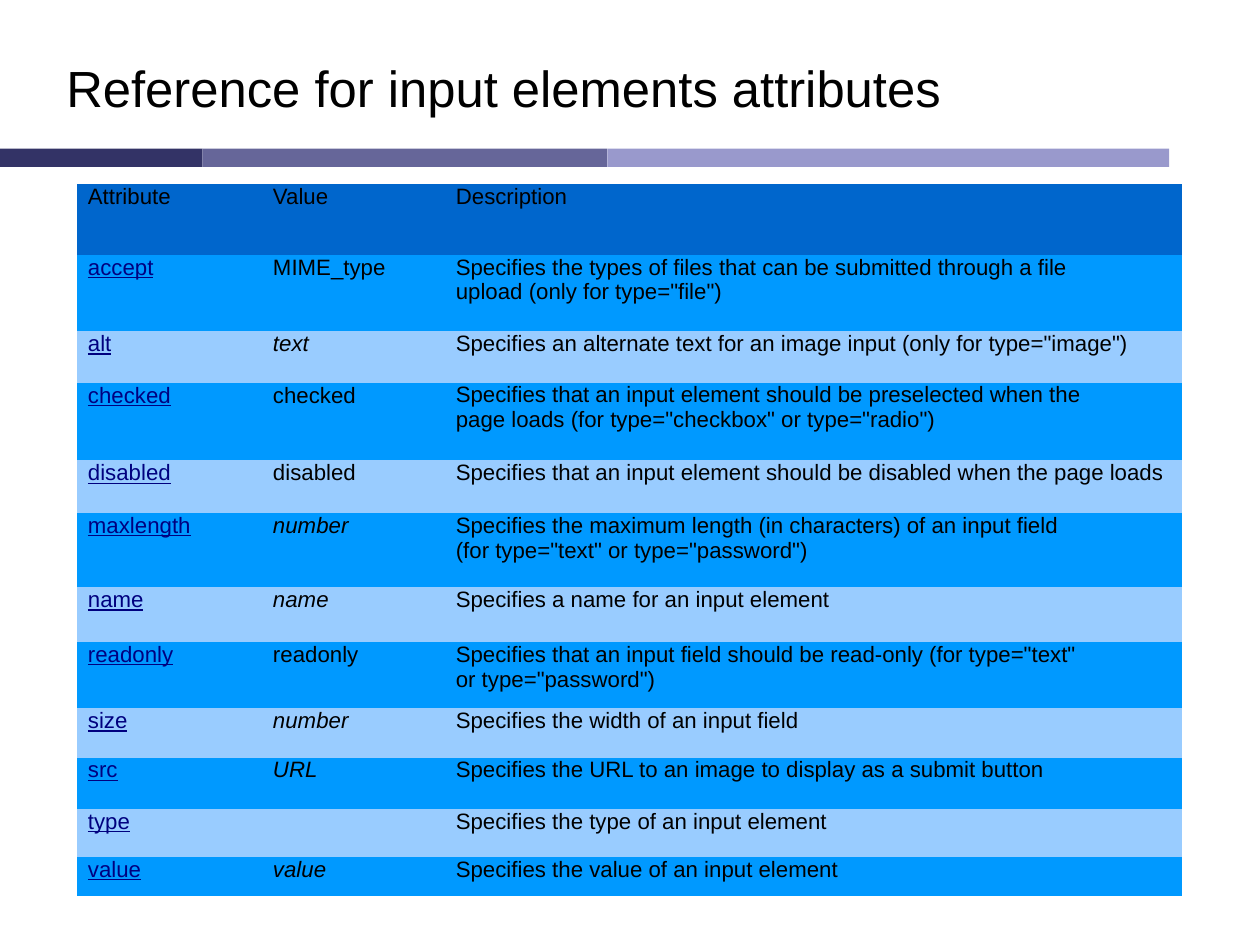
"""Build the slide that lists the attributes of the input element."""
from dataclasses import dataclass

from pptx import Presentation
from pptx import util as u
from pptx.dml import color
from pptx.enum import shapes, text
from pptx.oxml import ns

SLIDE_WIDTH, SLIDE_HEIGHT = u.Inches(11.03), u.Inches(8.26)
COLOURS = {
    "ink": "000000",
    "link": "00007F",
    "header": "0066CC",
    "bright": "0099FF",
    "pale": "99CCFF",
    "navy": "333366",
    "slate": "666699",
    "lavender": "9999CC",
}
PLAIN_TABLE_STYLE = "{2D5ABB26-0587-4C30-8999-92F81FD0307C}"
COLUMN_WIDTHS = (14.69, 14.51, 58.57)
HEADINGS = ("Attribute", "Value", "Description")
HEADER_HEIGHT = 7.51


@dataclass(frozen=True)
class Band:
    """A stretch of the divider, its width in percent of the slide."""
    colour: str
    width: float


@dataclass(frozen=True)
class Attribute:
    """A table row, its height in percent of the slide."""
    name: str
    value: str
    description: str
    height: float
    italic: bool = True
    two_lines: bool = False


BANDS = (Band("navy", 16.07), Band("slate", 32.13), Band("lavender", 44.6))
ATTRIBUTES = (
    Attribute("accept", "MIME_type",
              "Specifies the types of files that can be submitted through a file "
              'upload (only for type="file")', 8.11, italic=False, two_lines=True),
    Attribute("alt", "text",
              'Specifies an alternate text for an image input (only for type="image")', 5.45),
    Attribute("checked", "checked",
              "Specifies that an input element should be preselected when the page loads "
              '(for type="checkbox" or type="radio")', 8.23, italic=False, two_lines=True),
    Attribute("disabled", "disabled",
              "Specifies that an input element should be disabled when the page loads",
              5.57, italic=False),
    Attribute("maxlength", "number",
              "Specifies the maximum length (in characters) of an input field "
              '(for type="text" or type="password")', 7.87, two_lines=True),
    Attribute("name", "name", "Specifies a name for an input element", 5.81),
    Attribute("readonly", "readonly",
              'Specifies that an input field should be read-only (for type="text" '
              'or type="password")', 7.02, italic=False, two_lines=True),
    Attribute("size", "number", "Specifies the width of an input field", 5.21),
    Attribute("src", "URL", "Specifies the URL to an image to display as a submit button", 5.45),
    Attribute("type", "", "Specifies the type of an input element", 5.08),
    Attribute("value", "value", "Specifies the value of an input element", 4.12),
)


def across(percent: float) -> int:
    """Turn a percentage of the slide's width into a length."""
    return round(SLIDE_WIDTH * percent / 100)


def down(percent: float) -> int:
    """Turn a percentage of the slide's height into a length."""
    return round(SLIDE_HEIGHT * percent / 100)


def paint(fill, colour: str) -> None:
    """Give a fill one solid colour."""
    fill.solid()
    fill.fore_color.rgb = color.RGBColor.from_string(COLOURS[colour])


def write(frame, wording: str, *, size: float = 14, colour: str = "ink",
          italic: bool = False, underline: bool = False, spacing: float | None = None) -> None:
    """Write one left-aligned paragraph in the given format."""
    paragraph = frame.paragraphs[0]
    paragraph.alignment = text.PP_ALIGN.LEFT
    paragraph.font.size = u.Pt(size)
    if spacing:
        paragraph.line_spacing = u.Pt(spacing)
    if wording:
        run = paragraph.add_run()
        run.text = wording
        run.font.name = "Arial"
        run.font.size = u.Pt(size)
        run.font.bold = False
        run.font.italic = italic
        run.font.underline = underline
        paint(run.font.fill, colour)


def draw_title(slide) -> None:
    """Place and write the title."""
    title = slide.shapes.title
    title.left, title.top = across(5.26), down(4.72)
    title.width, title.height = across(89.57), down(8.11)
    frame = title.text_frame
    frame.margin_left = frame.margin_right = frame.margin_bottom = 0
    frame.margin_top = down(0.85)
    frame.vertical_anchor = text.MSO_ANCHOR.MIDDLE
    frame.auto_size = text.MSO_AUTO_SIZE.NONE
    frame.word_wrap = True
    write(frame, "Reference for input elements attributes", size=32)


def draw_divider(slide) -> None:
    """Draw the bands of the divider end to end."""
    start = 0.0
    for band in BANDS:
        stretch = slide.shapes.add_shape(
            shapes.MSO_SHAPE.RECTANGLE, across(start), down(15.74), across(band.width), down(1.94))
        stretch.shadow.inherit = False
        stretch.line.fill.background()
        paint(stretch.fill, band.colour)
        start += band.width


def fill_cell(cell, wording: str, background: str, *, right: float = 0, **style) -> None:
    """Colour a cell, set its margins and write its text."""
    paint(cell.fill, background)
    cell.margin_top = cell.margin_bottom = 0
    cell.margin_left, cell.margin_right = across(0.91), across(right)
    write(cell.text_frame, wording, **style)


def draw_reference(slide) -> None:
    """Draw the table of attributes."""
    heights = [HEADER_HEIGHT] + [attribute.height for attribute in ATTRIBUTES]
    frame = slide.shapes.add_table(
        len(heights), len(COLUMN_WIDTHS), across(6.07), down(19.49),
        across(sum(COLUMN_WIDTHS)), down(sum(heights)))
    reference = frame.table
    reference.first_row = reference.horz_banding = False
    next(frame.element.iter(ns.qn("a:tableStyleId"))).text = PLAIN_TABLE_STYLE
    for column, width in zip(reference.columns, COLUMN_WIDTHS):
        column.width = across(width)
    for row, height in zip(reference.rows, heights):
        row.height = down(height)
    for column, heading in enumerate(HEADINGS):
        fill_cell(reference.cell(0, column), heading, "header")
    for row, attribute in enumerate(ATTRIBUTES, start=1):
        background = "bright" if row % 2 else "pale"
        wrapping = {"right": 7.07, "spacing": 15.7} if attribute.two_lines else {}
        fill_cell(reference.cell(row, 0), attribute.name, background,
                  colour="link", underline=True)
        fill_cell(reference.cell(row, 1), attribute.value, background, italic=attribute.italic)
        fill_cell(reference.cell(row, 2), attribute.description, background, **wrapping)


def main() -> None:
    """Build and save the presentation."""
    deck = Presentation()
    deck.slide_width, deck.slide_height = SLIDE_WIDTH, SLIDE_HEIGHT
    slide = deck.slides.add_slide(deck.slide_layouts.get_by_name("Title Only"))
    draw_divider(slide)
    draw_title(slide)
    draw_reference(slide)
    deck.save("out.pptx")


if __name__ == "__main__":
    main()
